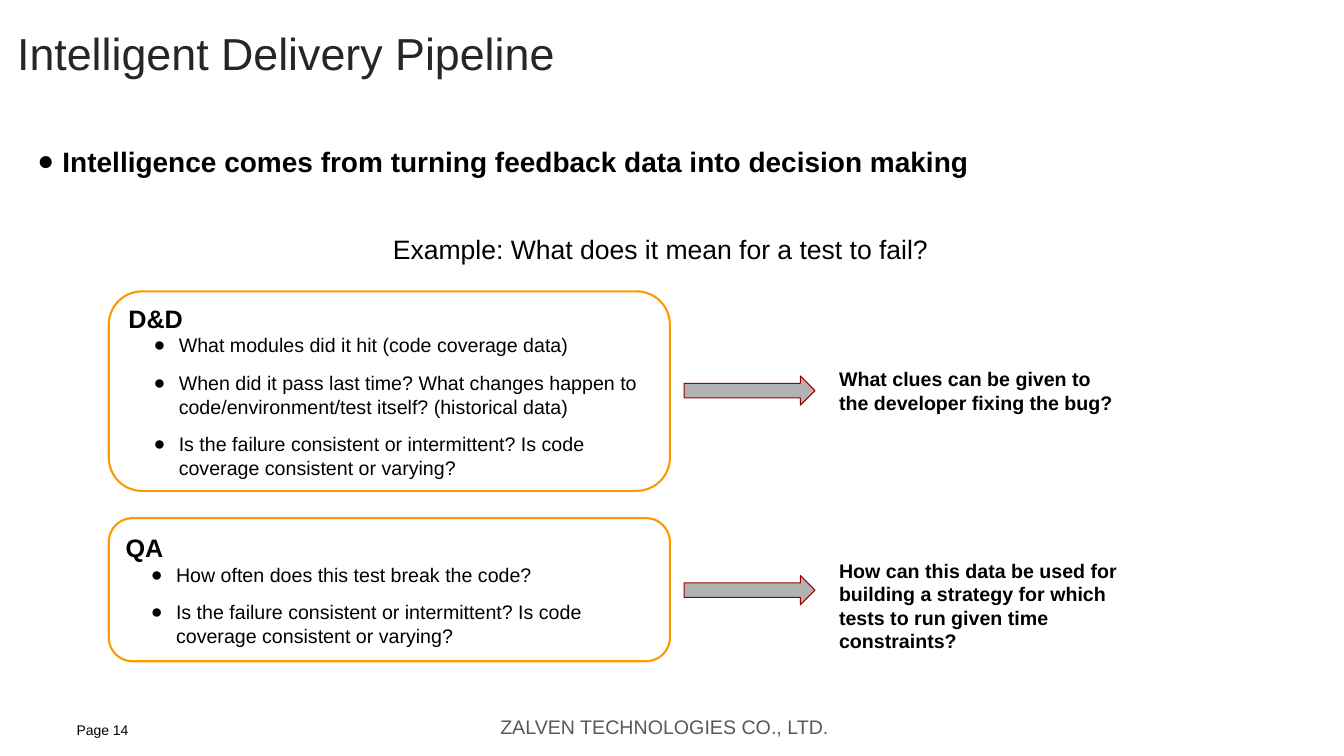
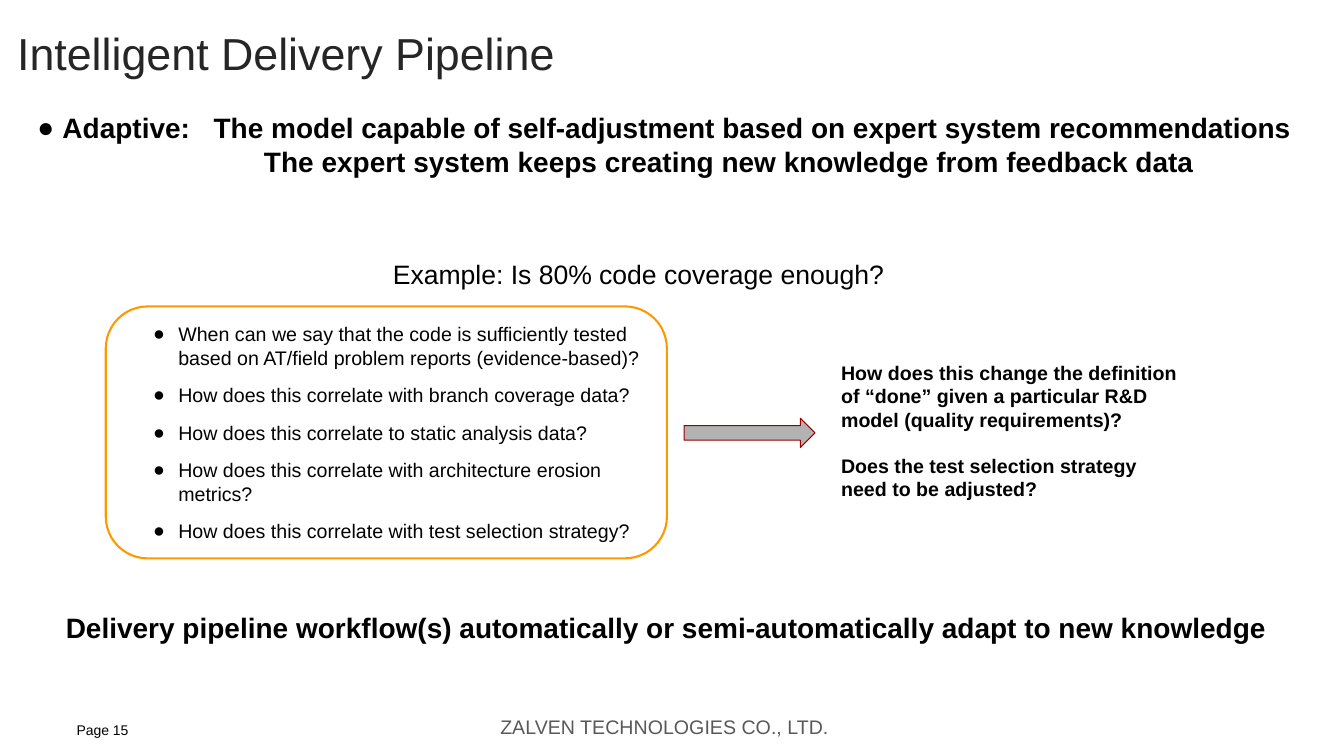
from lxml import etree
from pptx import Presentation
from pptx import util as u
from pptx.dml.color import RGBColor
from pptx.enum import shapes, text
from pptx.oxml.ns import qn

Inches = u.Inches
COLORS = {
    "text": "000000", "title": "262626", "footer": "595959",
    "frame": "FF9900", "arrow": "B2B2B2", "arrow_line": "990000",
}
FONT = "Arial"
TITLE = "Intelligent Delivery Pipeline"
COMPANY = "ZALVEN TECHNOLOGIES CO., LTD."
MIDDLE, TOP = text.MSO_ANCHOR.MIDDLE, text.MSO_ANCHOR.TOP
LEFT, CENTER = text.PP_ALIGN.LEFT, text.PP_ALIGN.CENTER

# Paragraph styles
HEADING = dict(size=18, bold=True)
BULLET = dict(size=14, bullet=True, margin=0.5, after=10)
NOTE = dict(size=14, bold=True)
CLAIM = dict(size=20, bold=True, bullet=True, margin=0.5)
EXAMPLE = dict(size=19, margin=3.78)

# Slide content: paragraphs are (text, style)
PAGES = [
    dict(
        number=14, body_height=1.52,
        body=[
            ("Intelligence comes from turning feedback data into decision making",
             dict(CLAIM, spacing=2)),
            ("Example: What does it mean for a test to fail?",
             dict(EXAMPLE, before=39)),
        ],
        frames=[
            ((1.08, 2.89, 5.57, 1.98), [
                ("D&D", HEADING),
                ("What modules did it hit (code coverage data)", BULLET),
                ("When did it pass last time? What changes happen to "
                 "code/environment/test itself? (historical data)", BULLET),
                ("Is the failure consistent or intermittent? Is code "
                 "coverage consistent or varying?", BULLET),
            ]),
            ((1.08, 5.14, 5.57, 1.42), [
                ("QA", HEADING),
                ("How often does this test break the code?", BULLET),
                ("Is the failure consistent or intermittent? Is code "
                 "coverage consistent or varying?", BULLET),
            ]),
        ],
        arrow_tops=[3.73, 5.71],
        notes=[
            ((8.23, 3.54, 2.96, 0.68), [
                ("What clues can be given to the developer fixing the bug?", NOTE),
            ]),
            ((8.23, 5.44, 3.36, 0.82), [
                ("How can this data be used for building a strategy for which "
                 "tests to run given time constraints?", NOTE),
            ]),
        ],
    ),
    dict(
        number=15, body_height=1.98,
        body=[
            ("Adaptive: \tThe model capable of self-adjustment based on "
             "expert system recommendations", CLAIM),
            ("The expert system keeps creating new knowledge from feedback data",
             dict(size=20, bold=True, margin=2.5)),
            ("Example: Is 80% code coverage enough?", dict(EXAMPLE, before=57)),
        ],
        frames=[
            ((1.05, 3.04, 5.57, 2.5), [
                ("When can we say that the code is sufficiently tested based on "
                 "AT/field problem reports (evidence-based)?",
                 dict(BULLET, before=10)),
                ("How does this correlate with branch coverage data?", BULLET),
                ("How does this correlate to static analysis data?", BULLET),
                ("How does this correlate with architecture erosion metrics?", BULLET),
                ("How does this correlate with test selection strategy?", BULLET),
            ]),
        ],
        arrow_tops=[4.15],
        notes=[
            ((8.25, 3.48, 3.55, 1.63), [
                ("How does this change the definition of “done” given a particular "
                 "R&D model (quality requirements)?", NOTE),
                ("Does the test selection strategy need to be adjusted?",
                 dict(NOTE, before=16)),
            ]),
            ((0.09, 5.96, 13.05, 0.54), [
                ("Delivery pipeline workflow(s) automatically or semi-automatically "
                 "adapt to new knowledge", dict(size=20, bold=True, align=CENTER)),
            ]),
        ],
    ),
]


def place(shape, left, top, width, height):
    shape.left, shape.top = Inches(left), Inches(top)
    shape.width, shape.height = Inches(width), Inches(height)


def write(shape, paragraphs, anchor=TOP, insets=(0.1, 0.1, 0.1, 0.1)):
    frame = shape.text_frame
    frame.word_wrap = True
    frame.auto_size = text.MSO_AUTO_SIZE.NONE
    frame.vertical_anchor = anchor
    (frame.margin_left, frame.margin_top,
     frame.margin_right, frame.margin_bottom) = map(Inches, insets)
    for index, (words, style) in enumerate(paragraphs):
        para = frame.add_paragraph() if index else frame.paragraphs[0]
        para.add_run().text = words
        para.alignment = style.get("align", LEFT)
        para.line_spacing = style.get("spacing", 1.0)
        para.space_before = u.Pt(style.get("before", 0))
        para.space_after = u.Pt(style.get("after", 0))
        # Indent and bullet
        props = para._p.get_or_add_pPr()
        bullet = style.get("bullet", False)
        props.set("marL", str(Inches(style.get("margin", 0))))
        props.set("indent", str(Inches(-0.25 if bullet else 0)))
        if bullet:
            color = etree.SubElement(props, qn("a:buClr"))
            etree.SubElement(color, qn("a:srgbClr"), val=COLORS["text"])
            etree.SubElement(props, qn("a:buFont"), typeface=FONT)
            etree.SubElement(props, qn("a:buChar"), char="●")
        else:
            etree.SubElement(props, qn("a:buNone"))
        para.font.name = FONT
        para.font.size = u.Pt(style["size"])
        para.font.bold = style.get("bold", False)
        para.font.color.rgb = RGBColor.from_string(COLORS[style.get("color", "text")])


deck = Presentation()
deck.slide_width, deck.slide_height = Inches(13.34), Inches(7.5)

for content in PAGES:
    page = deck.slides.add_slide(deck.slide_layouts[1])

    # Title
    title = page.shapes.title
    place(title, 0.17, 0.25, 12.89, 0.54)
    write(title, [(TITLE, dict(size=32, color="title"))], MIDDLE, (0, 0, 0, 0))

    # Main claim and example
    body = page.placeholders[1]
    place(body, 0, 1.04, 13.34, content["body_height"])
    write(body, content["body"], insets=(0.12, 0.06, 0.12, 0.06))

    # Framed questions
    for position, paragraphs in content["frames"]:
        box = page.shapes.add_shape(
            shapes.MSO_SHAPE.ROUNDED_RECTANGLE, *map(Inches, position))
        box.shadow.inherit = False
        box.fill.background()
        box.line.color.rgb = RGBColor.from_string(COLORS["frame"])
        box.line.width = u.Pt(1.5)
        write(box, paragraphs, MIDDLE)

    # Arrows
    for top in content["arrow_tops"]:
        arrow = page.shapes.add_shape(
            shapes.MSO_SHAPE.RIGHT_ARROW,
            Inches(6.79), Inches(top), Inches(1.3), Inches(0.29))
        arrow.shadow.inherit = False
        arrow.fill.solid()
        arrow.fill.fore_color.rgb = RGBColor.from_string(COLORS["arrow"])
        arrow.line.color.rgb = RGBColor.from_string(COLORS["arrow_line"])
        arrow.line.width = u.Pt(0.75)

    # Conclusions
    for position, paragraphs in content["notes"]:
        note = page.shapes.add_textbox(*map(Inches, position))
        write(note, paragraphs)

    # Footer
    number = page.shapes.add_textbox(
        Inches(0.76), Inches(6.99), Inches(1.54), Inches(0.51))
    write(number, [(f"Page {content['number']}", dict(size=10))],
          MIDDLE, (0, 0, 0, 0))
    company = page.shapes.add_textbox(
        Inches(4.8), Inches(7.09), Inches(3.69), Inches(0.24))
    write(company, [(COMPANY, dict(size=14, color="footer", align=CENTER))],
          insets=(0, 0, 0.1, 0))

deck.save("out.pptx")
